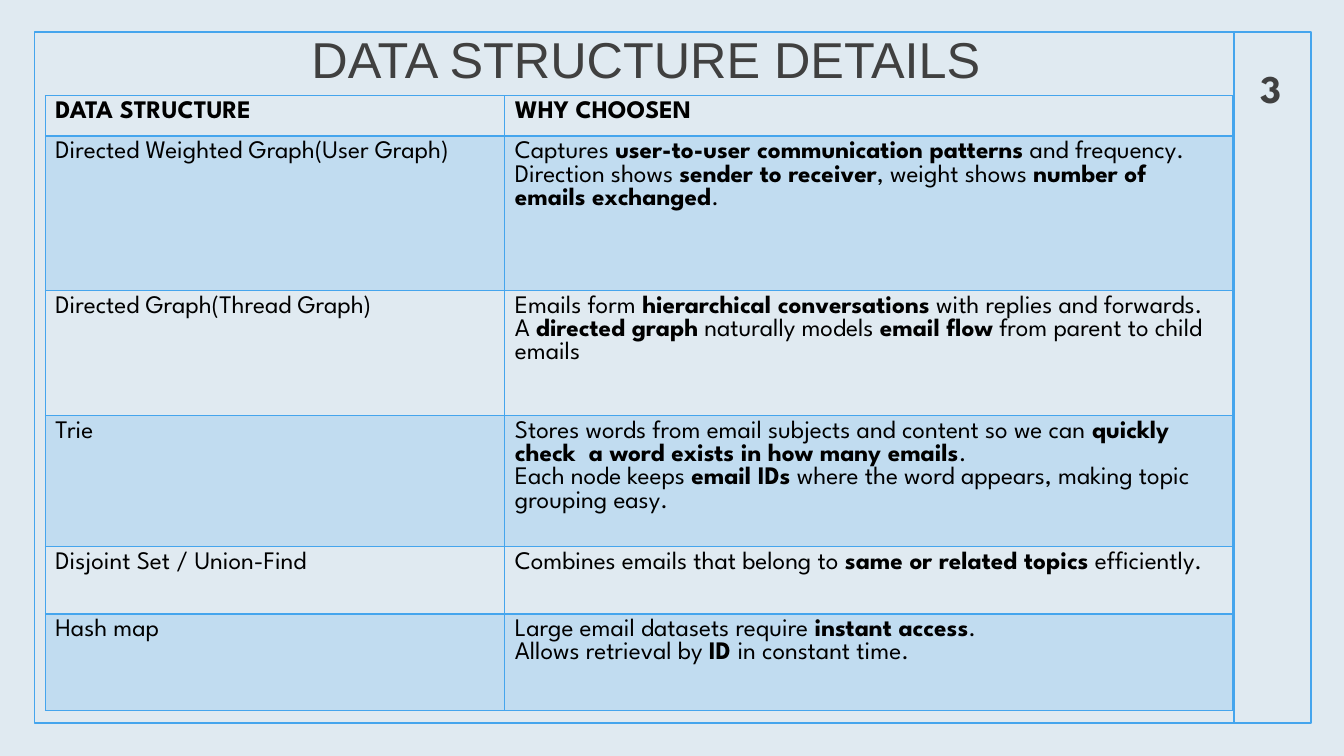
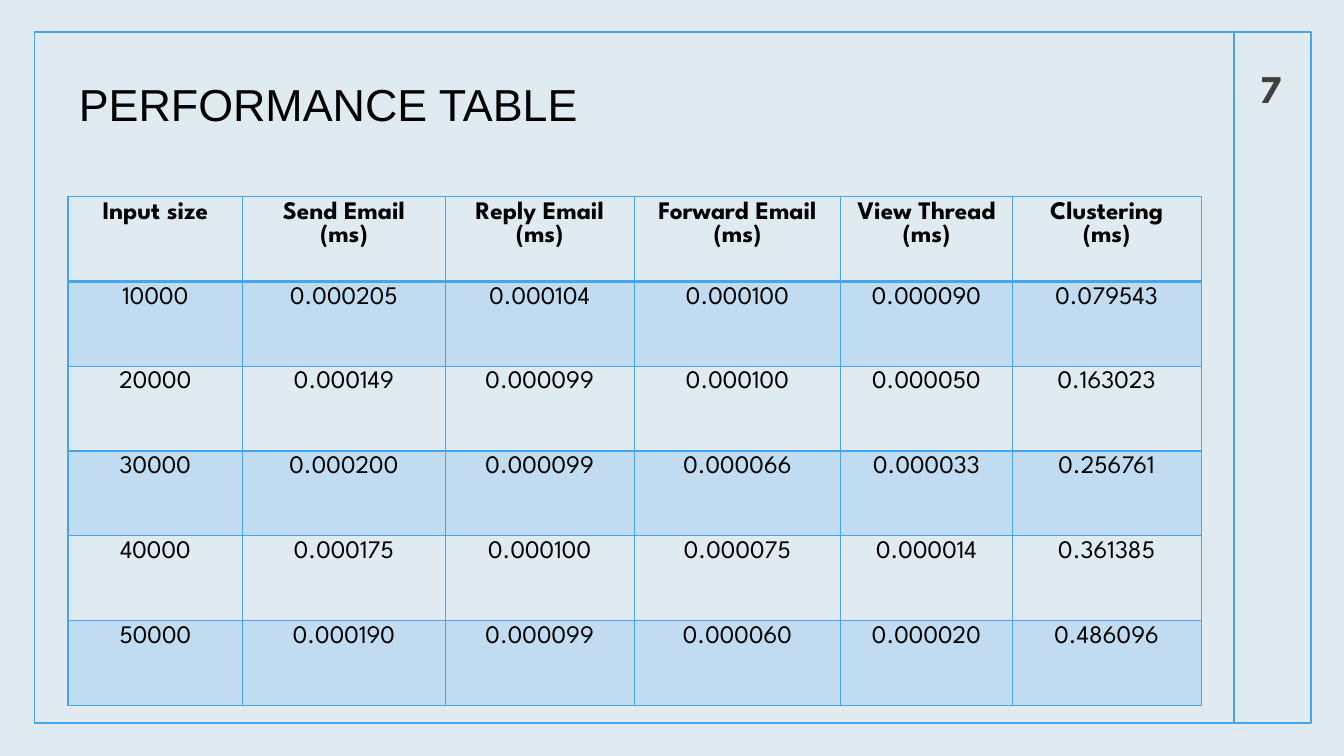
from lxml.etree import SubElement
from pptx import Presentation
from pptx.dml.color import RGBColor
from pptx.enum.shapes import MSO_CONNECTOR, MSO_SHAPE
from pptx.enum.text import MSO_ANCHOR, PP_ALIGN
from pptx.oxml.ns import qn
from pptx.util import Emu, Pt

COLS, ROWS = 160, 90
UNIT = 76200
HUES = {"page": "F2F2F2", "blue": "45A5ED", "grey": "404040", "black": "000000"}
HEAD, BODY = "Arial", "League Spartan"
FRAME = (4.1, 3.8, 152, 82.3)
RAIL = 146.9
GRID = "{5940675A-B579-460E-94D1-54222C63F5DA}"

NOTES = [
    ["DATA STRUCTURE", "WHY CHOOSEN"],
    ["Directed Weighted Graph(User Graph)",
     "Captures *user-to-user communication patterns* and frequency.\n"
     "Direction shows *sender to receiver*, weight shows *number of emails exchanged*."],
    ["Directed Graph(Thread Graph)",
     "Emails form *hierarchical conversations* with replies and forwards.\n"
     "A *directed graph* naturally models *email flow* from parent to child emails"],
    ["Trie",
     "Stores words from email subjects and content so we can "
     "*quickly check  a word exists in how many emails*.\n"
     "Each node keeps *email IDs* where the word appears, making topic grouping easy."],
    ["Disjoint Set / Union-Find",
     "Combines emails that belong to *same or related topics* efficiently."],
    ["Hash map",
     "Large email datasets require *instant access*.\n"
     "Allows retrieval by *ID *in constant time."],
]

TIMES = [
    ["Input size", "Send Email\n(ms)", "Reply Email\n(ms)", "Forward Email\n(ms)",
     "View Thread\n(ms)", "Clustering\n(ms)"],
    ["10000", "0.000205", "0.000104", "0.000100", "0.000090", "0.079543"],
    ["20000", "0.000149", "0.000099", "0.000100", "0.000050", "0.163023"],
    ["30000", "0.000200", "0.000099", "0.000066", "0.000033", "0.256761"],
    ["40000", "0.000175", "0.000100", "0.000075", "0.000014", "0.361385"],
    ["50000", "0.000190", "0.000099", "0.000060", "0.000020", "0.486096"],
]


def span(*cells):
    """Turn grid cells into slide lengths."""
    return [Emu(round(cell * UNIT)) for cell in cells]


def tint(name):
    """Look up a colour by name."""
    return RGBColor.from_string(HUES[name])


def wash(fill, share):
    """Fill with blue at the given percentage of opacity."""
    fill.solid()
    fill.fore_color.rgb = tint("blue")
    color = fill._xPr.find(qn("a:solidFill"))[0]
    SubElement(color, qn("a:alpha"), val=str(share * 1000))


def style(run, size, face, hue, bold=False):
    """Set the font of one run."""
    font = run.font
    font.size, font.name, font.bold = Pt(size), face, bold
    font.color.rgb = tint(hue)


def label(slide, box, text, anchor, align, *look):
    """Place one line of text in a box."""
    frame = slide.shapes.add_textbox(*span(*box)).text_frame
    frame.word_wrap = True
    frame.vertical_anchor = anchor
    frame.text = text
    line = frame.paragraphs[0]
    line.alignment = align
    style(line.runs[0], *look)


def panel(slide, box):
    """Add a plain rectangle without a shadow."""
    shape = slide.shapes.add_shape(MSO_SHAPE.RECTANGLE, *span(*box))
    shape.shadow.inherit = False
    return shape


def edge(line):
    """Draw a line in the frame style."""
    line.color.rgb = tint("blue")
    line.width = Pt(1.25)


def base(deck, number):
    """Add a slide with tinted page, frame, rail and page number."""
    slide = deck.slides.add_slide(deck.slide_layouts[6])
    back = slide.background.fill
    back.solid()
    back.fore_color.rgb = tint("page")
    sheet = panel(slide, (0, 0, COLS, ROWS))
    wash(sheet.fill, 10)
    sheet.line.fill.background()
    left, top, wide, high = FRAME
    rail = slide.shapes.add_connector(
        MSO_CONNECTOR.STRAIGHT, *span(RAIL, top, RAIL, top + high))
    edge(rail.line)
    SubElement(rail._element.spPr, qn("a:effectLst"))
    frame = panel(slide, FRAME)
    frame.fill.background()
    edge(frame.line)
    label(slide, (RAIL - 1.1, top, 11, 10.1), str(number), MSO_ANCHOR.BOTTOM,
          PP_ALIGN.CENTER, 28, BODY, "grey", True)
    return slide


def title(slide, box, text, size, hue):
    """Place the slide title."""
    label(slide, box, text, MSO_ANCHOR.MIDDLE, PP_ALIGN.LEFT, size, HEAD, hue)


def rule(cell, row):
    """Draw the cell borders, heavy below the header."""
    heavy = {"lnT": row == 1, "lnB": row == 0}
    for side in ("lnL", "lnR", "lnT", "lnB"):
        width = Pt(2 if heavy.get(side) else 1)
        line = SubElement(cell._tc.get_or_add_tcPr(), qn("a:" + side), w=str(width))
        fill = SubElement(line, qn("a:solidFill"))
        SubElement(fill, qn("a:srgbClr"), val=HUES["blue"])


def write(cell, text, head, align):
    """Write lines into a cell, with bold between stars."""
    frame = cell.text_frame
    for i, row in enumerate(text.split("\n")):
        line = frame.add_paragraph() if i else frame.paragraphs[0]
        line.alignment = align
        for j, part in enumerate(row.split("*")):
            run = line.add_run()
            run.text = part
            style(run, 18, BODY, "black", head or j % 2 == 1)


def chart(slide, spot, wide, high, data, align):
    """Add a banded table at a spot of the grid."""
    box = span(*spot, sum(wide), sum(high))
    table = slide.shapes.add_table(len(high), len(wide), *box).table
    table._tbl.tblPr.find(qn("a:tableStyleId")).text = GRID
    table.horz_banding = False
    for col, size in zip(table.columns, span(*wide)):
        col.width = size
    for r, size in enumerate(span(*high)):
        table.rows[r].height = size
        for c, text in enumerate(data[r]):
            cell = table.cell(r, c)
            write(cell, text, r == 0, align)
            rule(cell, r)
            if r % 2:
                wash(cell.fill, 20)
            else:
                cell.fill.background()


def detail(deck):
    """Build the slide on data structures."""
    slide = base(deck, 3)
    title(slide, (35.9, 0, 86.5, 14), "DATA STRUCTURE DETAILS", 36, "grey")
    chart(slide, (5.4, 11.4), (54.7, 86.6), (4.7, 18.4, 14.9, 15.1, 8, 11.5),
          NOTES, PP_ALIGN.LEFT)


def results(deck):
    """Build the slide of measured times."""
    slide = base(deck, 7)
    title(slide, (8.2, 8.5, 134.8, 7.7), "PERFORMANCE TABLE", 32, "black")
    chart(slide, (8.1, 23.4), (20.8, 24.1, 22.5, 24.6, 20.4, 22.5), [10.1] * 6,
          TIMES, PP_ALIGN.CENTER)


def main():
    """Build and save the deck."""
    deck = Presentation()
    deck.slide_width, deck.slide_height = span(COLS, ROWS)
    detail(deck)
    results(deck)
    deck.save("out.pptx")


if __name__ == "__main__":
    main()
